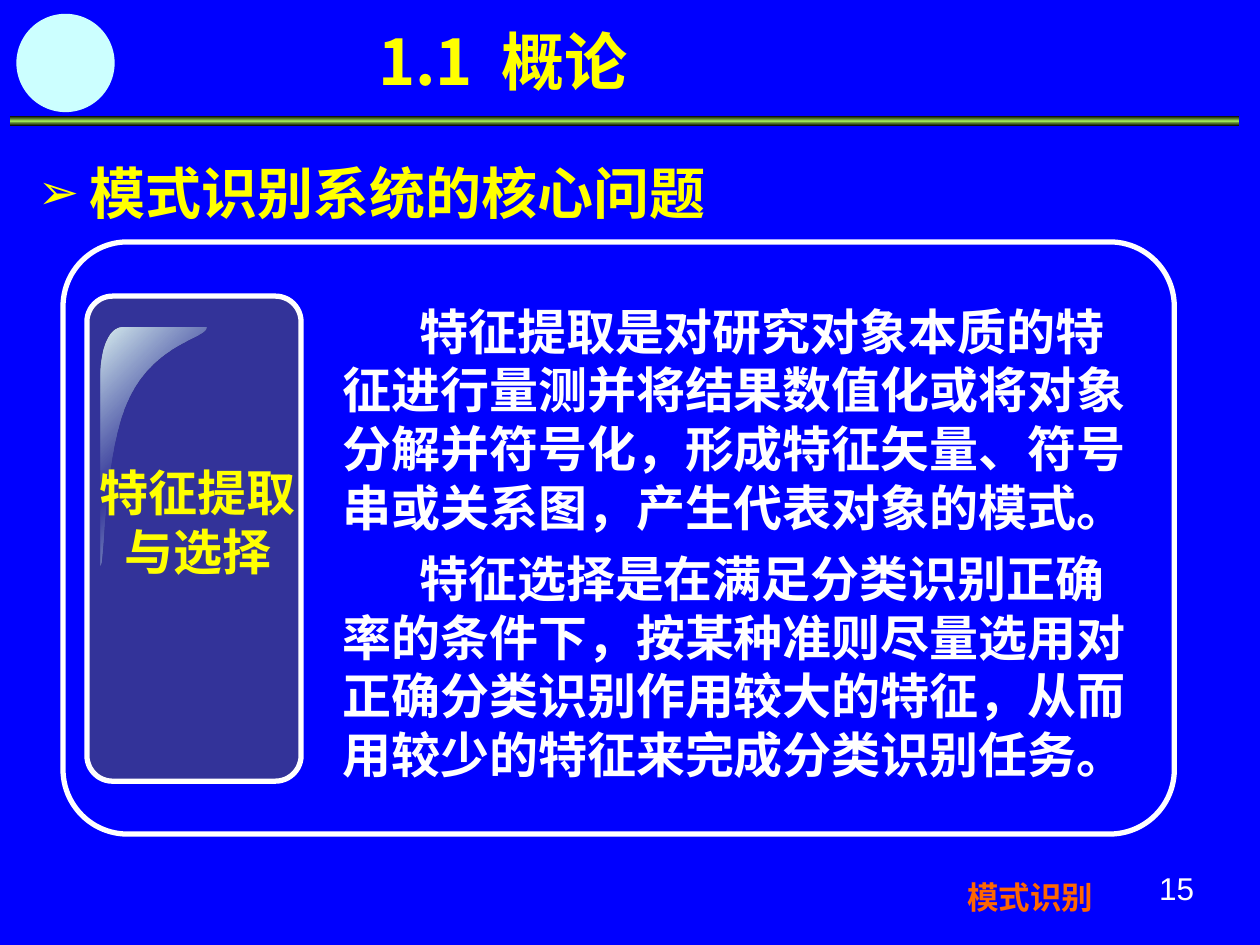
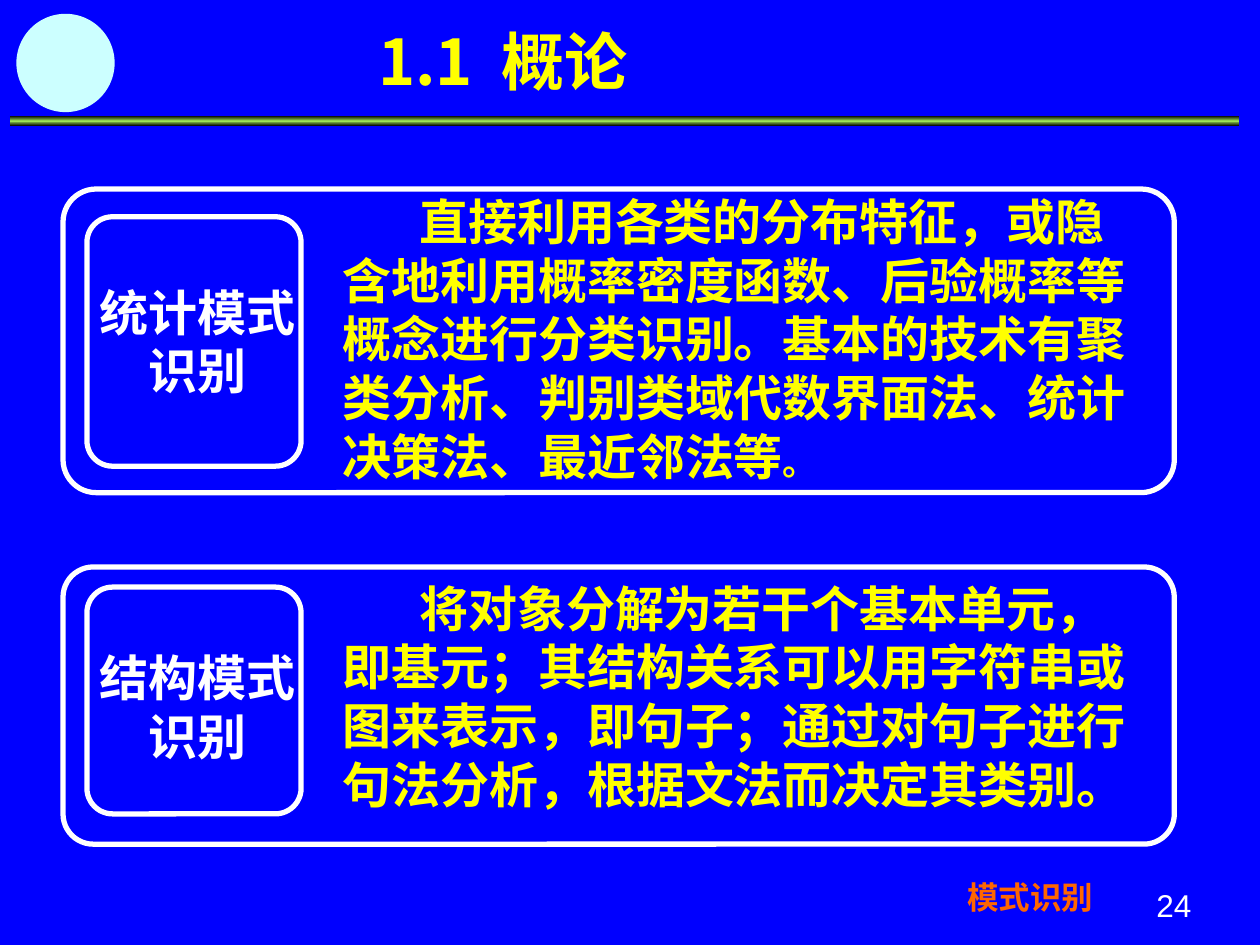
from dataclasses import dataclass
from typing import Optional

from pptx import Presentation
from pptx.dml.color import RGBColor
from pptx.enum.shapes import MSO_SHAPE as Shape
from pptx.enum.text import MSO_ANCHOR as Anchor, MSO_AUTO_SIZE as AutoSize, PP_ALIGN as Align
from pptx.oxml import parse_xml
from pptx.oxml.ns import nsdecls, qn
from pptx.util import Inches, Pt

COLORS = {
    "background": "0000FF",
    "yellow": "FFFF00",
    "white": "FFFFFF",
    "orange": "FF6600",
    "disc": "CCFFFF",
    "panel": "333399",
    "black": "000000",
    "green": "9CE157",
    "gloss": "DAEEF0",
    "gloss_mid": "BBE0E3",
}
CJK = "Noto Sans CJK SC"
LINE_FACTOR = 1.2
FIRST_LINE = 0.61


@dataclass(frozen=True)
class Box:
    left: float
    top: float
    width: float
    height: float

    def emu(self) -> tuple:
        return tuple(Inches(v) for v in (self.left, self.top, self.width, self.height))


@dataclass(frozen=True)
class Style:
    size: float
    color: str
    bold: bool = True
    font: str = "Arial"
    align: Align = Align.LEFT
    before: float = 0
    line: float = LINE_FACTOR
    indent: float = 0


@dataclass(frozen=True)
class Stop:
    position: int
    color: str
    alpha: int = 100


@dataclass(frozen=True)
class Card:
    top: float
    height: float
    label_box: Box
    label_top: float
    label: list
    label_color: str
    text_top: float
    text: list
    text_color: str
    corner: float = 0.109
    label_fill: Optional[str] = None
    small_end: str = ""


TITLE = Style(36, "yellow", font=CJK, line=1.5)
HEADING = Style(32, "yellow", font=CJK)
FOOTER = Style(18, "orange")
NUMBER = Style(18, "white", bold=False)

BAND_STOPS = [Stop(0, "black"), Stop(50, "green"), Stop(100, "black")]
GLOSS_STOPS = [Stop(0, "gloss"), Stop(50, "gloss_mid", 0), Stop(100, "gloss")]
GLOSS_START = (0.8, 4.49)
GLOSS_CURVES = [
    [(0.84, 4.52), (0.82, 3.59), (1.03, 3.16)],
    [(1.24, 2.72), (1.65, 2.69), (1.64, 2.6)],
    [(1.64, 2.6), (0.97, 2.6), (0.97, 2.6)],
    [(0.87, 2.6), (0.8, 2.77), (0.8, 2.98)],
]

FEATURES = Card(
    1.92, 4.7, Box(0.69, 2.35, 1.7, 3.85), 3.62, ["特征提取", "与选择"], "yellow", 2.34,
    ["特征提取是对研究对象本质的特征进行量测并将结果数值化或将对象分解并符号化，形成特征矢量、符号串或关系图，产生代表对象的模式。",
     "特征选择是在满足分类识别正确率的条件下，按某种准则尽量选用对正确分类识别作用较大的特征，从而用较少的特征来完成分类识别任务。"],
    "white", label_fill="panel")
STATISTICAL = Card(
    1.5, 2.41, Box(0.69, 1.72, 1.7, 1.98), 2.19, ["统计模式识别"], "white", 1.47,
    ["直接利用各类的分布特征，或隐含地利用概率密度函数、后验概率等概念进行分类识别。基本的技术有聚类分析、判别类域代数界面法、统计决策法、最近邻法等"],
    "yellow", small_end="。")
STRUCTURAL = Card(
    4.5, 2.2, Box(0.69, 4.66, 1.7, 1.8), 5.09, ["结构模式识别"], "white", 4.54,
    ["将对象分解为若干个基本单元，即基元；其结构关系可以用字符串或图来表示，即句子；通过对句子进行句法分析，根据文法而决定其类别。"],
    "yellow")


def rgb(name: str) -> RGBColor:
    return RGBColor.from_string(COLORS[name])


def add_run(p, text: str, style: Style, size: Optional[float] = None) -> None:
    r = p.add_run()
    r.text = text
    formats = {"name": style.font, "size": Pt(size or style.size), "bold": style.bold}
    for key, value in formats.items():
        setattr(r.font, key, value)
    r.font.color.rgb = rgb(style.color)
    r.font._element.append(parse_xml(f'<a:ea {nsdecls("a")} typeface="{CJK}"/>'))


def write(sp, box: Box, lines: list, style: Style):
    sp.left, sp.top, sp.width, sp.height = box.emu()
    tf = sp.text_frame
    frame = {"word_wrap": True, "auto_size": AutoSize.NONE, "vertical_anchor": Anchor.TOP}
    for key, value in frame.items():
        setattr(tf, key, value)
    for i, line in enumerate(lines):
        p = tf.add_paragraph() if i else tf.paragraphs[0]
        formats = {
            "alignment": style.align,
            "line_spacing": Pt(style.size * style.line),
            "space_before": Pt(style.before if i else 0),
        }
        for key, value in formats.items():
            setattr(p, key, value)
        if style.indent:
            p._p.get_or_add_pPr().set("indent", str(Inches(style.indent)))
        add_run(p, line, style)
    return tf


def add_text(slide, box: Box, lines: list, style: Style):
    return write(slide.shapes.add_textbox(*box.emu()), box, lines, style)


def paint(sp, fill: Optional[str] = None, line: Optional[str] = None) -> None:
    sp.shadow.inherit = False
    if fill:
        sp.fill.solid()
        sp.fill.fore_color.rgb = rgb(fill)
    else:
        sp.fill.background()
    if line:
        sp.line.color.rgb = rgb(line)
        sp.line.width = Pt(3)
    else:
        sp.line.fill.background()


def add_shape(slide, kind: Shape, box: Box, fill: Optional[str] = None,
              line: Optional[str] = None, corner: Optional[float] = None):
    sp = slide.shapes.add_shape(kind, *box.emu())
    if corner is not None:
        sp.adjustments[0] = corner
    paint(sp, fill, line)
    return sp


def fill_gradient(sp, stops: list, angle: int) -> None:
    marks = "".join(
        f'<a:gs pos="{s.position * 1000}"><a:srgbClr val="{COLORS[s.color]}">'
        f'<a:alpha val="{s.alpha * 1000}"/></a:srgbClr></a:gs>' for s in stops)
    grad = parse_xml(
        f'<a:gradFill {nsdecls("a")} rotWithShape="1"><a:gsLst>{marks}</a:gsLst>'
        f'<a:lin ang="{angle * 60000}" scaled="1"/></a:gradFill>')
    spPr = sp._element.spPr
    spPr.replace(spPr.find(qn("a:noFill")), grad)


def curve_points(start: tuple, curve: list, steps: int = 16) -> list:
    points = [start, *curve]
    weights = (1, 3, 3, 1)
    return [
        tuple(sum(w * (1 - t) ** (3 - k) * t ** k * pt[axis]
                  for k, (w, pt) in enumerate(zip(weights, points))) for axis in (0, 1))
        for t in (n / steps for n in range(1, steps + 1))
    ]


def add_gloss(slide) -> None:
    outline = [GLOSS_START]
    for curve in GLOSS_CURVES:
        outline += curve_points(outline[-1], curve)
    builder = slide.shapes.build_freeform(*(Inches(v) for v in outline[0]))
    builder.add_line_segments([(Inches(x), Inches(y)) for x, y in outline[1:]], close=True)
    sp = builder.convert_to_shape()
    paint(sp)
    fill_gradient(sp, GLOSS_STOPS, 45)


def add_card(slide, card: Card) -> None:
    add_shape(slide, Shape.ROUNDED_RECTANGLE, Box(0.5, card.top, 8.82, card.height),
              line="white", corner=card.corner)
    add_shape(slide, Shape.ROUNDED_RECTANGLE, card.label_box,
              fill=card.label_fill, line="white", corner=0.12)
    if card.label_fill:
        add_gloss(slide)
    add_text(slide, Box(0.66, card.label_top, 1.82, 1.04), card.label,
             Style(28, card.label_color, align=Align.CENTER))
    bottom = card.top + card.height
    tf = add_text(slide, Box(2.62, card.text_top, 6.48, bottom - card.text_top), card.text,
                  Style(28, card.text_color, before=7, indent=FIRST_LINE))
    if card.small_end:
        add_run(tf.paragraphs[-1], card.small_end, Style(20, card.text_color))


def add_heading(slide, text: str) -> None:
    tf = write(slide.placeholders[1], Box(0.2, 1.21, 6.06, 0.64), [text], HEADING)
    pPr = tf.paragraphs[0]._p.get_or_add_pPr()
    hang = Inches(0.41)
    pPr.set("marL", str(hang))
    pPr.set("indent", str(-hang))
    for tag in (f'buClr {nsdecls("a")}><a:srgbClr val="{COLORS["yellow"]}"/></a:buClr>',
                f'buSzPct {nsdecls("a")} val="88000"/>',
                f'buFont {nsdecls("a")} typeface="Arial"/>',
                f'buChar {nsdecls("a")} char="➢"/>'):
        pPr.append(parse_xml(f"<a:{tag}"))


def add_base_slide(prs, layout: int, number: str, number_box: Box):
    slide = prs.slides.add_slide(prs.slide_layouts[layout])
    band = add_shape(slide, Shape.RECTANGLE, Box(0.08, 0.92, 9.75, 0.08))
    fill_gradient(band, BAND_STOPS, 90)
    add_shape(slide, Shape.OVAL, Box(0.13, 0.11, 0.78, 0.78), fill="disc")
    add_text(slide, Box(7.58, 6.92, 1.68, 0.4), ["模式识别"], FOOTER)
    add_text(slide, number_box, [number], NUMBER)
    write(slide.shapes.title, Box(2.9, -0.02, 2.82, 0.85), ["1.1  概论"], TITLE)
    return slide


def main() -> None:
    prs = Presentation()
    prs.slide_width, prs.slide_height = Inches(10), Inches(7.5)
    fill = prs.slide_master.background.fill
    fill.solid()
    fill.fore_color.rgb = rgb("background")

    slide = add_base_slide(prs, 1, "15", Box(9.1, 6.85, 0.65, 0.52))
    add_heading(slide, "模式识别系统的核心问题")
    add_card(slide, FEATURES)

    slide = add_base_slide(prs, 5, "24", Box(9.08, 6.98, 0.65, 0.52))
    for card in (STATISTICAL, STRUCTURAL):
        add_card(slide, card)

    prs.save("out.pptx")


if __name__ == "__main__":
    main()
